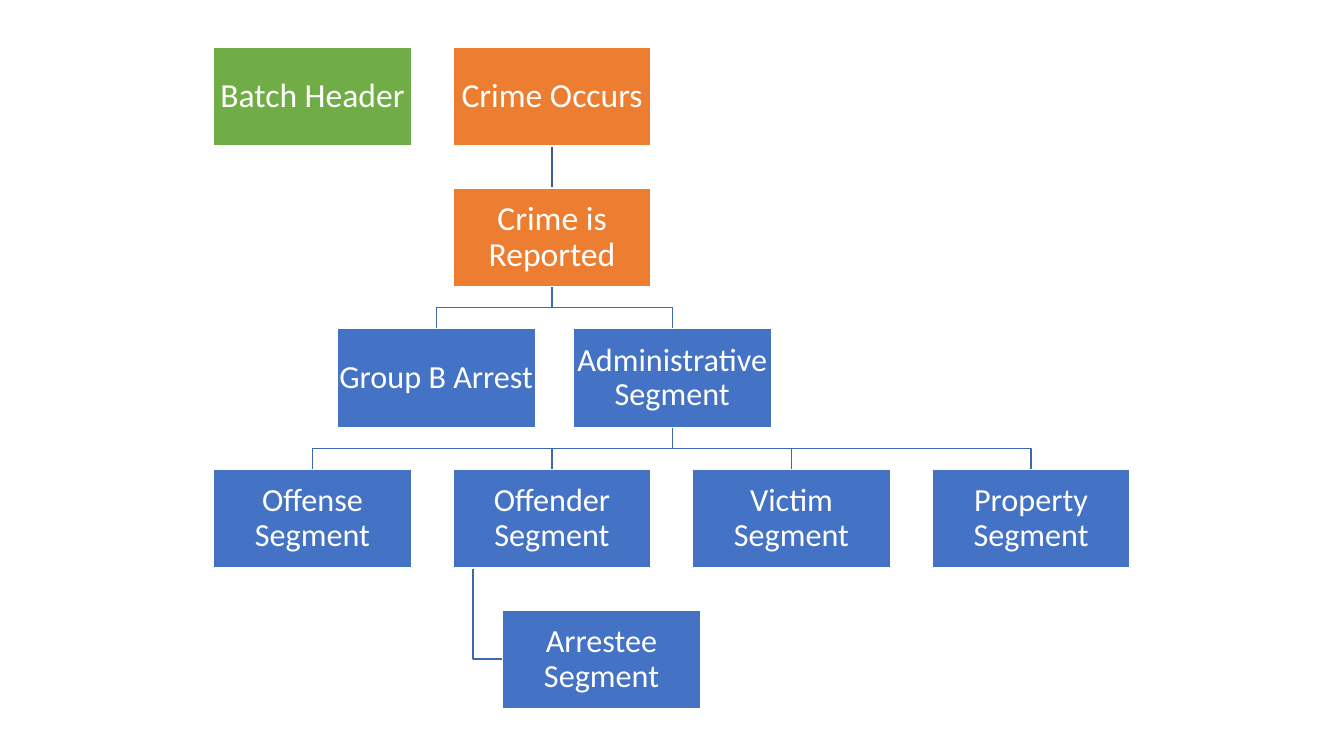
from lxml import etree
from pptx import Presentation
from pptx.dml.color import RGBColor
from pptx.enum.shapes import MSO_CONNECTOR, MSO_SHAPE
from pptx.enum.text import MSO_ANCHOR, PP_ALIGN
from pptx.oxml.ns import qn
from pptx.util import Pt

RECTANGLE = MSO_SHAPE.RECTANGLE
STRAIGHT = MSO_CONNECTOR.STRAIGHT
MIDDLE = MSO_ANCHOR.MIDDLE
CENTER = PP_ALIGN.CENTER

COLORS = {
    "header": "70AD47",
    "crime": "ED7D31",
    "segment": "4472C4",
    "white": "FFFFFF",
    "trunk": "365B9D",
    "branch": "3E67B2",
}
FONT = "Calibri"
BOX_WIDTH, BOX_HEIGHT = 141.3, 70.5
LEFT, TOP = 152.6, 33.8
COLUMN_STEP, ROW_STEP = 171.1, 100.45
HANG_INSET = 14.1  # from a box's left edge to the line of a hanging child


def column(index):
    return LEFT + index * COLUMN_STEP


# name: (left, row, color, text size)
BOXES = {
    "Batch Header": (column(0), 0, "header", 24),
    "Crime Occurs": (column(1), 0, "crime", 24),
    "Crime is Reported": (column(1), 1, "crime", 24),
    "Group B Arrest": (241.1, 2, "segment", 23),
    "Administrative Segment": (409.6, 2, "segment", 23),
    "Offense Segment": (column(0), 3, "segment", 23),
    "Offender Segment": (column(1), 3, "segment", 23),
    "Arrestee Segment": (359.1, 4, "segment", 23),
    "Victim Segment": (column(2), 3, "segment", 23),
    "Property Segment": (column(3), 3, "segment", 23),
}
BRANCHES = {
    "Administrative Segment": ["Property Segment", "Victim Segment",
                               "Offender Segment", "Offense Segment"],
    "Crime is Reported": ["Administrative Segment", "Group B Arrest"],
}


def rgb(name):
    return RGBColor.from_string(COLORS[name])


def corner(name):
    left, row = BOXES[name][:2]
    return left, TOP + row * ROW_STEP


def bottom_center(name):
    left, top = corner(name)
    return left + BOX_WIDTH / 2, top + BOX_HEIGHT


def top_center(name):
    left, top = corner(name)
    return left + BOX_WIDTH / 2, top


def style_line(shape, color):
    shape.line.color.rgb = rgb(color)
    shape.line.width = Pt(1)


def add_bent_line(page, points):
    start, *others = [(Pt(x), Pt(y)) for x, y in points]
    builder = page.shapes.build_freeform(*start)
    builder.add_line_segments(others, close=False)
    line = builder.convert_to_shape()
    line.fill.background()
    line.shadow.inherit = False
    style_line(line, "branch")


def add_branch(page, parent, child):
    start_x, start_y = bottom_center(parent)
    end_x, end_y = top_center(child)
    middle_y = (start_y + end_y) / 2
    add_bent_line(page, [(start_x, start_y), (start_x, middle_y),
                         (end_x, middle_y), (end_x, end_y)])


def add_hanging_branch(page, parent, child):
    left, top = corner(parent)
    child_left, child_top = corner(child)
    line_x = left + HANG_INSET
    child_y = child_top + BOX_HEIGHT / 2
    add_bent_line(page, [(line_x, top + BOX_HEIGHT), (line_x, child_y),
                         (child_left, child_y)])


def add_trunk(page, parent, child):
    ends = [Pt(value) for value in bottom_center(parent) + top_center(child)]
    trunk = page.shapes.add_connector(STRAIGHT, *ends)
    style_line(trunk, "trunk")
    etree.SubElement(trunk.line._get_or_add_ln().getparent(), qn("a:effectLst"))


def add_box(page, name):
    left, top = corner(name)
    color, size = BOXES[name][2:]
    box = page.shapes.add_shape(RECTANGLE, Pt(left), Pt(top),
                                Pt(BOX_WIDTH), Pt(BOX_HEIGHT))
    box.shadow.inherit = False
    box.fill.solid()
    box.fill.fore_color.rgb = rgb(color)
    style_line(box, "white")

    frame = box.text_frame
    frame.text = name
    frame.word_wrap = True
    frame.vertical_anchor = MIDDLE
    frame.margin_left = frame.margin_right = Pt(1.2)
    frame.margin_top = frame.margin_bottom = Pt(1.2)
    para = frame.paragraphs[0]
    para.alignment = CENTER
    para.line_spacing = 0.9
    span = para.runs[0]
    span.font.name = FONT
    span.font.size = Pt(size)
    span.font.color.rgb = rgb("white")


def main():
    deck = Presentation()
    deck.slide_width, deck.slide_height = Pt(960), Pt(540)
    page = deck.slides.add_slide(deck.slide_layouts[6])

    # Lines lie behind the boxes
    for parent, children in BRANCHES.items():
        for child in children:
            add_branch(page, parent, child)
    add_hanging_branch(page, "Offender Segment", "Arrestee Segment")
    add_trunk(page, "Crime Occurs", "Crime is Reported")

    # Boxes
    for name in BOXES:
        add_box(page, name)

    deck.save("out.pptx")


if __name__ == "__main__":
    main()
